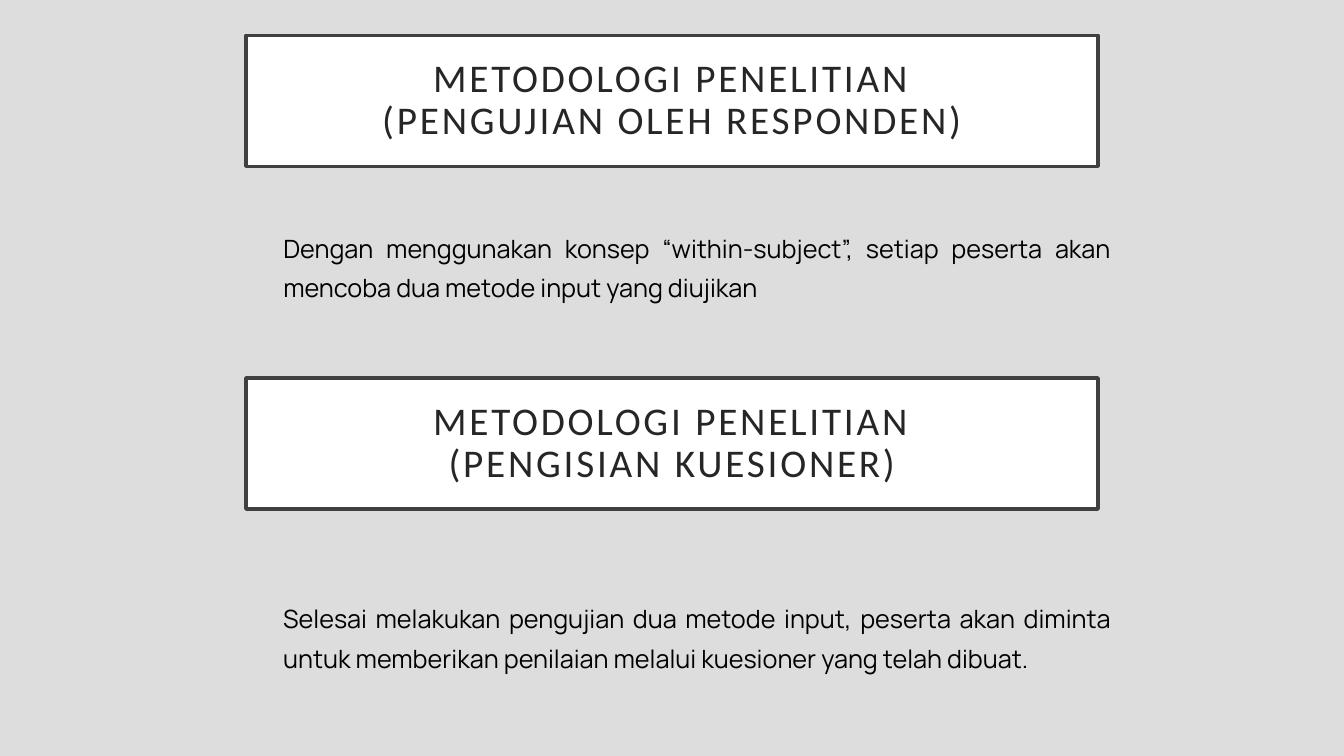
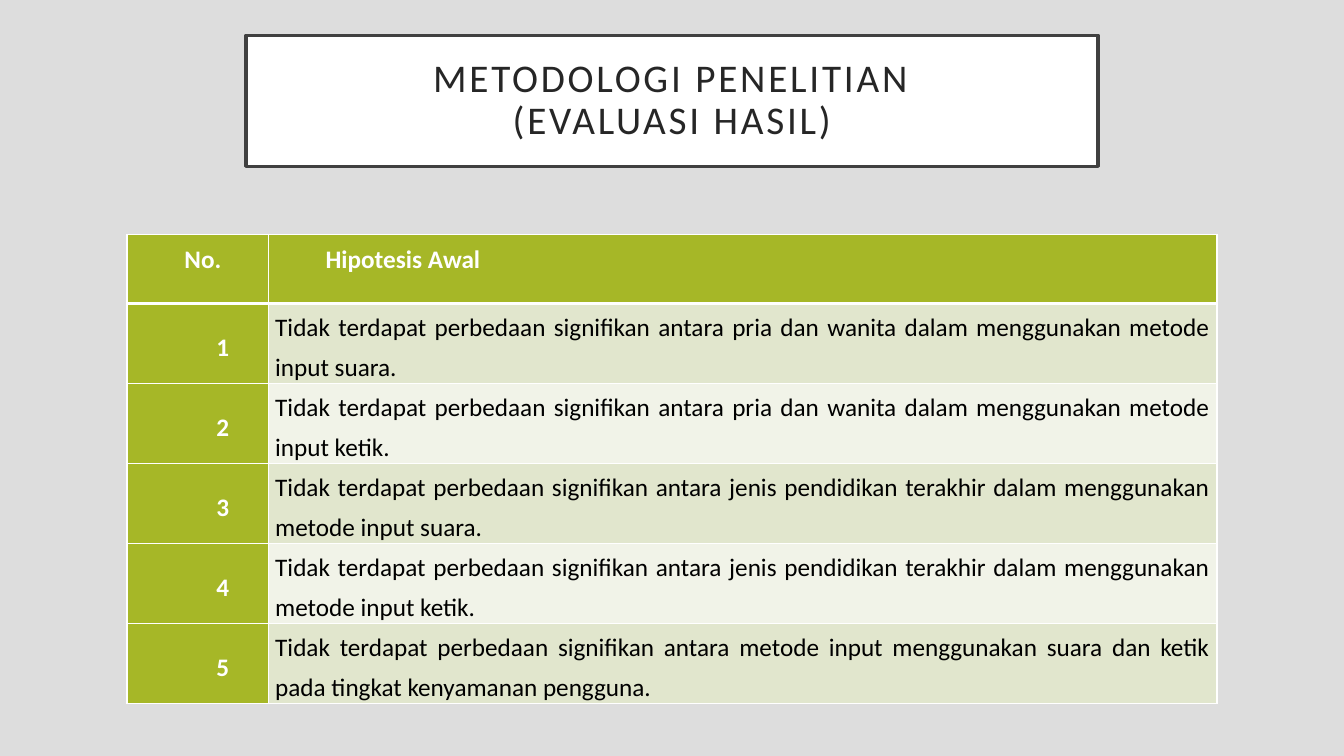
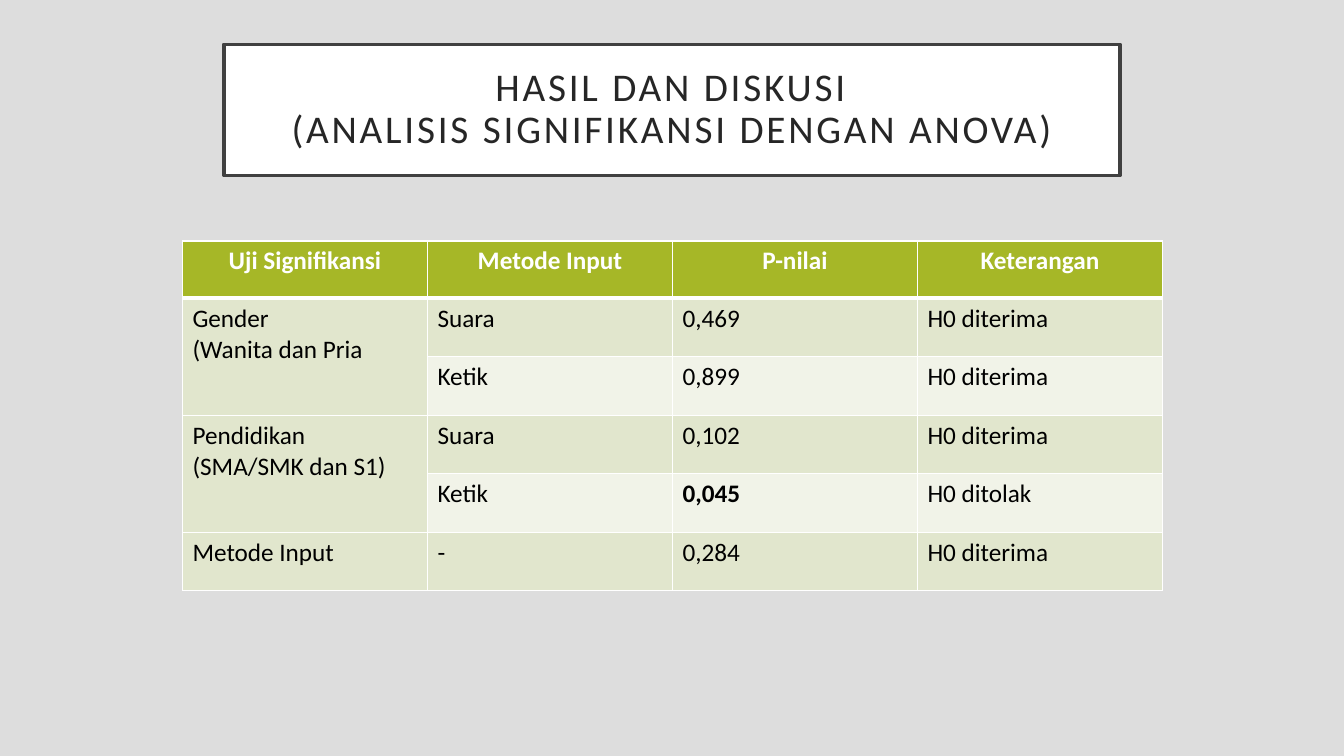
"""Build three slides on research method and results."""
import copy

import pptx
import pptx.dml.color
import pptx.enum.shapes
import pptx.enum.text
import pptx.oxml
import pptx.oxml.ns
import pptx.util
from pptx.util import Inches

RGB = pptx.dml.color.RGBColor
ALIGN = pptx.enum.text.PP_ALIGN
ANCHOR = pptx.enum.text.MSO_ANCHOR
qn = pptx.oxml.ns.qn

GREY = RGB(0xDD, 0xDD, 0xDD)
WHITE = RGB(0xFF, 0xFF, 0xFF)
BLACK = RGB(0, 0, 0)
INK = RGB(0x26, 0x26, 0x26)
EDGE = RGB(0x40, 0x40, 0x40)
GREEN = RGB(0xA6, 0xB7, 0x27)
BANDS = (RGB(0xE1, 0xE6, 0xCD), RGB(0xF1, 0xF3, 0xE8))

TESTS = "Tidak terdapat perbedaan signifikan antara "
CLAIMS = [
    "pria dan wanita dalam menggunakan metode input suara.",
    "pria dan wanita dalam menggunakan metode input ketik.",
    "jenis pendidikan terakhir dalam menggunakan metode input suara.",
    "jenis pendidikan terakhir dalam menggunakan metode input ketik.",
    "metode input menggunakan suara dan ketik pada tingkat kenyamanan pengguna.",
]
SCORES = [
    ("Uji Signifikansi", "Metode Input", "P-nilai", "Keterangan"),
    ("Gender\n(Wanita dan Pria", "Suara", "0,469", "H0 diterima"),
    ("", "Ketik", "0,899", "H0 diterima"),
    ("Pendidikan\n(SMA/SMK dan S1)", "Suara", "0,102", "H0 diterima"),
    ("", "Ketik", "0,045", "H0 ditolak"),
    ("Metode Input", "-", "0,284", "H0 diterima"),
]


def write(frame, text, size=18, font="Calibri", color=BLACK, bold=False,
          align=ALIGN.LEFT, line=1.0, before=0, after=0, indent=0, level=0,
          track=0):
    """Fill a text frame; newlines part paragraphs, \\v breaks a line."""
    frame.text = text
    for para in frame.paragraphs:
        para.alignment = align
        para.level = level
        para.line_spacing = line
        para.space_before = pptx.util.Pt(before)
        para.space_after = pptx.util.Pt(after)
        props = para._p.get_or_add_pPr()
        props.set("marL", str(Inches(indent)))
        props.set("indent", "0")
        props.append(pptx.oxml.parse_xml(
            f"<a:buNone {pptx.oxml.ns.nsdecls('a')}/>"))
        for run in para.runs:
            run.font.size = pptx.util.Pt(size)
            run.font.name = font
            run.font.bold = bold
            run.font.color.rgb = color
            if track:
                run._r.rPr.set("spc", str(track * 100))
        for gap in para._p.findall(qn("a:br")):
            gap.insert(0, copy.deepcopy(para.runs[0]._r.rPr))


def place(shape, left, top, width, height):
    """Set the place and size of a shape in inches."""
    shape.left, shape.top = Inches(left), Inches(top)
    shape.width, shape.height = Inches(width), Inches(height)


def banner(shape, text, left=2.44, top=0.35, width=8.45):
    """Format a shape as a framed white heading."""
    place(shape, left, top, width, 1.3)
    shape.fill.solid()
    shape.fill.fore_color.rgb = WHITE
    shape.line.color.rgb = EDGE
    shape.line.width = pptx.util.Pt(2.5)
    frame = shape.text_frame
    frame.word_wrap = True
    frame.auto_size = pptx.enum.text.MSO_AUTO_SIZE.NONE
    frame.vertical_anchor = ANCHOR.MIDDLE
    frame.margin_left = frame.margin_right = Inches(0.2)
    frame.margin_top = frame.margin_bottom = Inches(0.2)
    write(frame, text, size=28, color=INK, align=ALIGN.CENTER, line=0.9,
          track=2)


def prose(shape, text, top):
    """Format a shape as a justified body paragraph."""
    place(shape, 2.21, top, 8.91, 1.3)
    shape.text_frame.word_wrap = True
    shape.text_frame.auto_size = pptx.enum.text.MSO_AUTO_SIZE.NONE
    write(shape.text_frame, text, font="Manrope", align=ALIGN.JUSTIFY,
          line=1.3, before=10, indent=0.5, level=1)


def paint(cell, color, top=1, bottom=1):
    """Give a cell white borders and a solid fill."""
    props = cell._tc.get_or_add_tcPr()
    for side, width in (("L", 1), ("R", 1), ("T", top), ("B", bottom)):
        props.append(pptx.oxml.parse_xml(
            f'<a:ln{side} {pptx.oxml.ns.nsdecls("a")} '
            f'w="{pptx.util.Pt(width)}"><a:solidFill>'
            f'<a:srgbClr val="{WHITE}"/></a:solidFill></a:ln{side}>'))
    cell.fill.solid()
    cell.fill.fore_color.rgb = color


def grid(slide, left, top, cols, head, step, count):
    """Add a banded table with a green head row."""
    frame = slide.shapes.add_table(
        count, len(cols), Inches(left), Inches(top), Inches(sum(cols)),
        Inches(head + step * (count - 1)))
    table = frame.table
    table.horz_banding = False
    for col, width in zip(table.columns, cols):
        col.width = Inches(width)
    for num, row in enumerate(table.rows):
        row.height = Inches(step if num else head)
        for cell in row.cells:
            paint(cell, BANDS[(num - 1) % 2] if num else GREEN,
                  top=3 if num == 1 else 1, bottom=1 if num else 3)
    return table


def method(deck):
    """Add the slide on testing and the survey."""
    slide = deck.slides.add_slide(deck.slide_layouts[1])
    banner(slide.shapes.title,
           "METODOLOGI PENELITIAN\v(PENGUJIAN OLEH RESPONDEN)")
    prose(slide.placeholders[1],
          "Dengan menggunakan konsep “within-subject”, setiap peserta "
          "akan mencoba dua metode input yang diujikan", 2.17)
    box = slide.shapes.add_shape(
        pptx.enum.shapes.MSO_SHAPE.RECTANGLE, 0, 0, 0, 0)
    box.shadow.inherit = False
    banner(box, "METODOLOGI PENELITIAN\v(PENGISIAN KUESIONER)", top=3.75)
    prose(slide.shapes.add_textbox(0, 0, 0, 0),
          "Selesai melakukan pengujian dua metode input, peserta akan "
          "diminta untuk memberikan penilaian melalui kuesioner yang telah "
          "dibuat.", 5.85)


def claims(deck):
    """Add the slide that lists the hypotheses."""
    slide = deck.slides.add_slide(deck.slide_layouts[5])
    banner(slide.shapes.title, "METODOLOGI PENELITIAN\v(EVALUASI HASIL)")
    rows = [("No.", "Hipotesis Awal")]
    rows += [(str(num), TESTS + claim) for num, claim in enumerate(CLAIMS, 1)]
    table = grid(slide, 1.26, 2.33, (1.4, 9.41), 0.68, 0.76, len(rows))
    for r, row in enumerate(rows):
        for c, text in enumerate(row):
            cell = table.cell(r, c)
            cell.margin_left = cell.margin_right = Inches(0.07)
            cell.margin_top = cell.margin_bottom = 0
            label = r == 0 or c == 0
            number = r > 0 and c == 0
            if number:
                paint_num(cell)
            write(cell.text_frame, text, bold=label,
                  color=WHITE if label else BLACK,
                  align=ALIGN.CENTER if number else ALIGN.JUSTIFY,
                  line=1.3, after=12 if r or c else 0,
                  indent=0.5 if label else 0)


def paint_num(cell):
    """Make a cell a green row label."""
    cell.fill.fore_color.rgb = GREEN
    cell.vertical_anchor = ANCHOR.MIDDLE


def scores(deck):
    """Add the slide with the test results."""
    slide = deck.slides.add_slide(deck.slide_layouts[5])
    banner(slide.shapes.title,
           "HASIL DAN DISKUSI\v(ANALISIS SIGNIFIKANSI DENGAN ANOVA)",
           left=2.22, top=0.44, width=8.89)
    table = grid(slide, 1.81, 2.39, (2.43,) * 4, 0.57, 0.58, len(SCORES))
    for top in (1, 3):
        table.cell(top, 0).merge(table.cell(top + 1, 0))
    for r, row in enumerate(SCORES):
        for c, text in enumerate(row):
            if text:
                write(table.cell(r, c).text_frame, text,
                      bold=r == 0 or text == "0,045",
                      color=BLACK if r else WHITE,
                      align=ALIGN.LEFT if r else ALIGN.CENTER)


def main():
    """Build and save the deck."""
    deck = pptx.Presentation()
    deck.slide_width, deck.slide_height = Inches(13.33), Inches(7.5)
    back = deck.slide_master.background.fill
    back.solid()
    back.fore_color.rgb = GREY
    method(deck)
    claims(deck)
    scores(deck)
    deck.save("out.pptx")


main()
